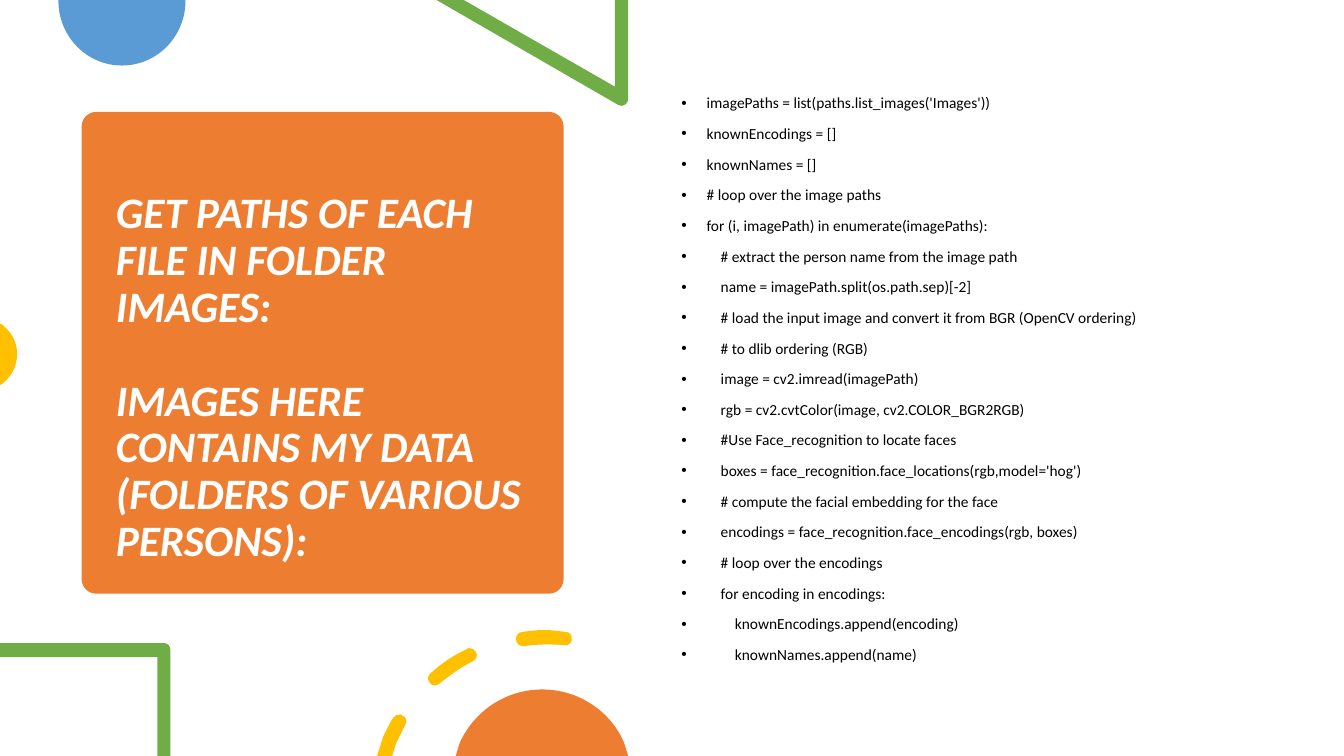
from dataclasses import dataclass

from lxml import etree
from pptx import Presentation
from pptx import util as u
from pptx.dml.color import RGBColor
from pptx.enum import shapes, text
from pptx.oxml import ns

GREEN, GOLD, ORANGE, BLUE = "70AD47", "FFC000", "ED7D31", "5B9BD5"
WHITE, BLACK = "FFFFFF", "000000"


@dataclass
class Blob:
    fill: str
    rings: list[list[tuple[float, ...]]]


@dataclass
class Code:
    depth: int
    line: str


@dataclass
class Style:
    size: int
    color: str
    bold: bool = False
    slant: bool = False


DISC = Blob(BLUE, [[(1.84, 0), (0.58, 0), (0.58, 0.01),
                    (0.58, 0.36, 0.86, 0.65, 1.21, 0.65),
                    (1.56, 0.65, 1.84, 0.36, 1.84, 0.01)]])
WEDGE = Blob(GREEN, [[(6.23, 0), (6.1, 0), (6.1, 0.86), (4.6, 0), (4.33, 0),
                      (6.13, 1.04), (6.14, 1.05, 6.15, 1.05, 6.16, 1.05),
                      (6.2, 1.05, 6.23, 1.02, 6.23, 0.98)]])
DOT = Blob(GOLD, [[(0, 3.21), (0, 3.82), (0.02, 3.81),
                   (0.11, 3.74, 0.17, 3.64, 0.17, 3.51),
                   (0.17, 3.39, 0.11, 3.29, 0.02, 3.22)]])
FRAME = Blob(GREEN, [[(1.63, 6.38), (0, 6.38), (0, 6.52), (1.56, 6.52),
                      (1.56, 7.5), (1.69, 7.5), (1.69, 6.45),
                      (1.69, 6.41, 1.66, 6.38, 1.63, 6.38)]])
DASHES = Blob(GOLD, [
    [(3.97, 7.09), (3.94, 7.08, 3.92, 7.1, 3.9, 7.12),
     (3.86, 7.18, 3.83, 7.25, 3.8, 7.31), (3.74, 7.5), (3.89, 7.5),
     (3.93, 7.37), (3.96, 7.31, 3.99, 7.25, 4.02, 7.19),
     (4.04, 7.16, 4.03, 7.11, 3.99, 7.1), (3.99, 7.09, 3.98, 7.09, 3.97, 7.09)],
    [(4.65, 6.43), (4.65, 6.43, 4.64, 6.43, 4.63, 6.44),
     (4.5, 6.5, 4.38, 6.58, 4.27, 6.68), (4.24, 6.7, 4.24, 6.75, 4.26, 6.77),
     (4.27, 6.79, 4.29, 6.8, 4.31, 6.8), (4.31, 6.8),
     (4.33, 6.8, 4.35, 6.79, 4.36, 6.78),
     (4.46, 6.7, 4.57, 6.62, 4.69, 6.56), (4.73, 6.54, 4.74, 6.5, 4.72, 6.47),
     (4.71, 6.44, 4.68, 6.43, 4.65, 6.43)],
    [(5.4, 6.25), (5.32, 6.25, 5.25, 6.26, 5.18, 6.27),
     (5.14, 6.27, 5.11, 6.31, 5.12, 6.35), (5.12, 6.38, 5.15, 6.41, 5.19, 6.41),
     (5.19, 6.41, 5.19, 6.41, 5.2, 6.41),
     (5.33, 6.39, 5.46, 6.39, 5.6, 6.4), (5.63, 6.41, 5.67, 6.38, 5.67, 6.35),
     (5.68, 6.31, 5.65, 6.27, 5.62, 6.27), (5.62, 6.27, 5.61, 6.27, 5.61, 6.27),
     (5.54, 6.26, 5.47, 6.25, 5.4, 6.25)],
])
DOME = Blob(ORANGE, [[(5.38, 6.84), (5.01, 6.84, 4.7, 7.06, 4.56, 7.37),
                      (4.52, 7.5), (6.23, 7.5), (6.19, 7.37),
                      (6.06, 7.06, 5.74, 6.84, 5.38, 6.84)]])

TITLE = [
    "GET PATHS OF EACH FILE IN FOLDER IMAGES:",
    "IMAGES HERE CONTAINS MY DATA (FOLDERS OF VARIOUS PERSONS):",
]
CODE = [
    Code(0, "imagePaths = list(paths.list_images('Images'))"),
    Code(0, "knownEncodings = []"),
    Code(0, "knownNames = []"),
    Code(0, "# loop over the image paths"),
    Code(0, "for (i, imagePath) in enumerate(imagePaths):"),
    Code(1, "# extract the person name from the image path"),
    Code(1, "name = imagePath.split(os.path.sep)[-2]"),
    Code(1, "# load the input image and convert it from BGR (OpenCV ordering)"),
    Code(1, "# to dlib ordering (RGB)"),
    Code(1, "image = cv2.imread(imagePath)"),
    Code(1, "rgb = cv2.cvtColor(image, cv2.COLOR_BGR2RGB)"),
    Code(1, "#Use Face_recognition to locate faces"),
    Code(1, "boxes = face_recognition.face_locations(rgb,model='hog')"),
    Code(1, "# compute the facial embedding for the face"),
    Code(1, "encodings = face_recognition.face_encodings(rgb, boxes)"),
    Code(1, "# loop over the encodings"),
    Code(1, "for encoding in encodings:"),
    Code(2, "knownEncodings.append(encoding)"),
    Code(2, "knownNames.append(name)"),
]


def paint(shape, color: str) -> None:
    shape.shadow.inherit = False
    shape.fill.solid()
    shape.fill.fore_color.rgb = RGBColor.from_string(color)
    shape.line.fill.background()


def dots(ring: list[tuple[float, ...]]) -> list[tuple[int, int]]:
    return [(u.Inches(step[i]), u.Inches(step[i + 1]))
            for step in ring for i in range(0, len(step), 2)]


def bend(shape, blob: Blob) -> None:
    lines = iter(list(shape._element.iter(ns.qn("a:lnTo"))))
    for ring in blob.rings:
        for step in ring[1:]:
            group = [next(lines) for _ in range(len(step) // 2)]
            if len(group) == 3:
                curve = etree.Element(ns.qn("a:cubicBezTo"))
                group[0].addprevious(curve)
                for line in group:
                    curve.append(line[0])
                    line.getparent().remove(line)


def draw(slide, blob: Blob) -> None:
    first, *rest = [dots(ring) for ring in blob.rings]
    pen = slide.shapes.build_freeform(*first[0])
    pen.add_line_segments(first[1:], close=True)
    for ring in rest:
        pen.move_to(*ring[0])
        pen.add_line_segments(ring[1:], close=True)
    shape = pen.convert_to_shape()
    bend(shape, blob)
    paint(shape, blob.fill)


def add_box(slide, left: float, top: float, width: float, height: float):
    frame = slide.shapes.add_textbox(
        *map(u.Inches, (left, top, width, height))).text_frame
    frame.word_wrap = True
    return frame


def write(frame, i: int, words: str, gap: float, style: Style):
    para = frame.add_paragraph() if i else frame.paragraphs[0]
    para.add_run().text = words
    para.line_spacing = 0.9
    para.space_before = u.Pt(gap)
    font = para.font
    font.name, font.size = "Calibri", u.Pt(style.size)
    font.bold, font.italic = style.bold, style.slant
    font.color.rgb = RGBColor.from_string(style.color)
    return para


def add_dot(para, depth: int) -> None:
    props = para._p.get_or_add_pPr()
    left = u.Inches(0.25 + 0.14 * depth)
    props.set("marL", str(left))
    props.set("indent", str(-left))
    last = props.find(ns.qn("a:defRPr"))
    last.addprevious(etree.Element(ns.qn("a:buFont"), typeface="Arial"))
    last.addprevious(etree.Element(ns.qn("a:buChar"), char="•"))


def main() -> None:
    deck = Presentation()
    deck.slide_width, deck.slide_height = u.Inches(13.33), u.Inches(7.5)
    slide = deck.slides.add_slide(deck.slide_layouts[6])

    card = slide.shapes.add_shape(
        shapes.MSO_SHAPE.ROUNDED_RECTANGLE,
        *map(u.Inches, (0.81, 1.11, 4.78, 4.78)))
    card.adjustments[0] = 0.03
    paint(card, ORANGE)

    title = add_box(slide, 1.05, 1.22, 4.31, 4.56)
    title.vertical_anchor = text.MSO_ANCHOR.MIDDLE
    title.margin_top = u.Inches(0.56)
    for i, words in enumerate(TITLE):
        write(title, i, words, 33.5 * i, Style(31, WHITE, True, True))

    for blob in (DISC, WEDGE, DOT):
        draw(slide, blob)

    body = add_box(slide, 6.66, 0.9, 5.75, 6.13)
    for i, code in enumerate(CODE):
        para = write(body, i, code.line, 10, Style(11, BLACK))
        add_dot(para, code.depth)

    for blob in (FRAME, DASHES, DOME):
        draw(slide, blob)

    deck.save("out.pptx")


if __name__ == "__main__":
    main()
